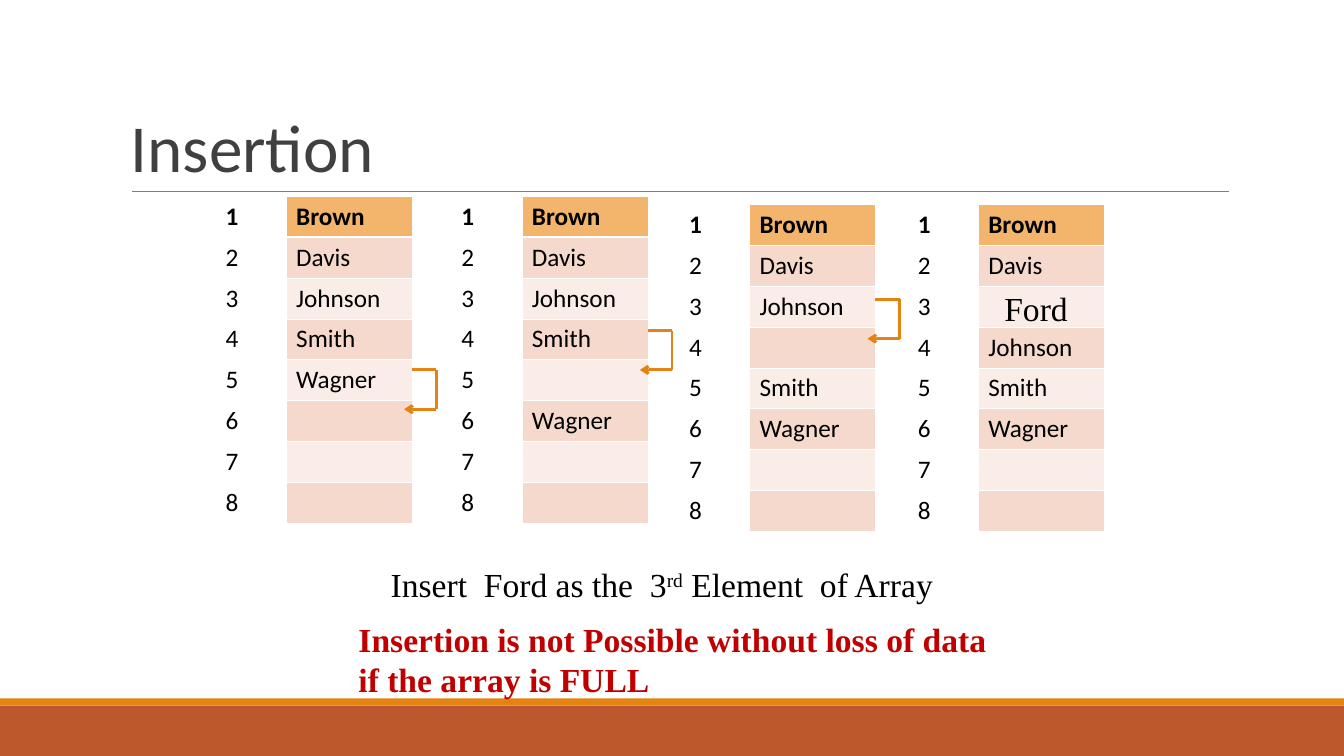
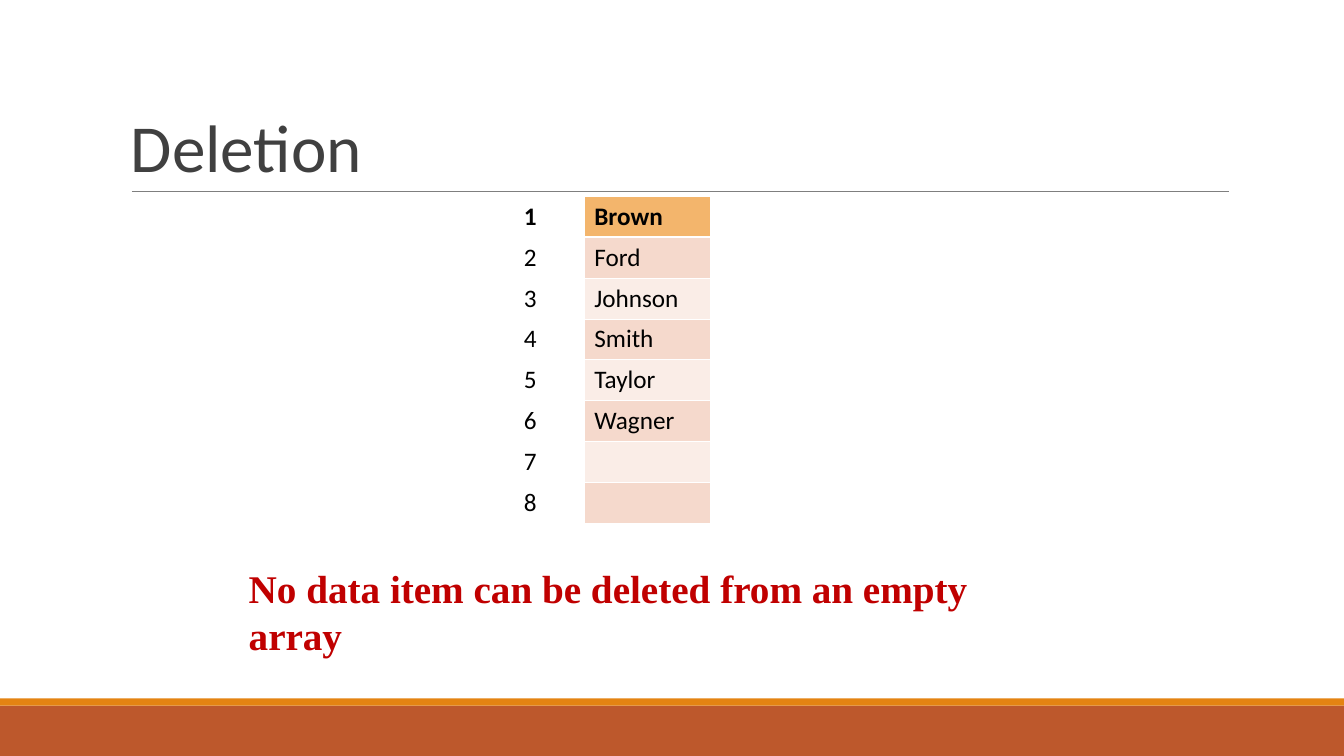
from dataclasses import dataclass
from itertools import pairwise
from lxml.etree import SubElement
from pptx import Presentation
from pptx.dml.color import RGBColor
from pptx.enum.shapes import MSO_CONNECTOR, MSO_SHAPE
from pptx.enum.text import MSO_ANCHOR
from pptx.oxml.ns import qn
from pptx.util import Inches, Pt


@dataclass(frozen=True)
class Theme:
    rust: str = "BD582C"
    amber: str = "E48312"
    rule: str = "7F7F7F"
    gray: str = "404040"
    black: str = "000000"
    white: str = "FFFFFF"
    red: str = "C00000"
    head: str = "F3B56C"
    bands: tuple = ("FAEDE7", "F5D9CC")
    sans: str = "Calibri"
    serif: str = "Times New Roman"
    title: int = 48
    alert: int = 28
    note: int = 24
    cell: int = 18


T = Theme()
WIDE, HIGH = 13.34, 7.5
SLOTS = 8
ROW = 0.405
COLS = (0.7, 1.25)
TABLE = sum(COLS)
TITLE = dict(name=T.sans, size=T.title, color=T.gray)
NOTE = dict(name=T.serif, size=T.note, color=T.black)
WARN = NOTE | dict(color=T.red, bold=True)
CELL = dict(name=T.sans, size=T.cell, color=T.black)


def style(font, form):
    """Apply a dict of format values to a font."""
    for key, value in form.items():
        if key == "color":
            font.color.rgb = RGBColor.from_string(value)
        else:
            setattr(font, key, Pt(value) if key == "size" else value)


def write(para, text, form):
    run = para.add_run()
    run.text = text
    style(run.font, form)
    return run


def label(slide, box, text, form, anchor=MSO_ANCHOR.TOP):
    """Add a wrapped text box and return its paragraph."""
    frame = slide.shapes.add_textbox(*map(Inches, box)).text_frame
    frame.word_wrap = True
    frame.vertical_anchor = anchor
    para = frame.paragraphs[0]
    write(para, text, form)
    return para


def line(shapes, start, end, color, width):
    link = shapes.add_connector(
        MSO_CONNECTOR.STRAIGHT, *map(Inches, (*start, *end)))
    link.line.color.rgb = RGBColor.from_string(color)
    link.line.width = Pt(width)
    SubElement(link._element.spPr, qn("a:effectLst"))
    return link


def band(slide, top, height, color):
    bar = slide.shapes.add_shape(
        MSO_SHAPE.RECTANGLE, *map(Inches, (0, top, WIDE, height)))
    bar.shadow.inherit = False
    bar.fill.solid()
    bar.fill.fore_color.rgb = RGBColor.from_string(color)
    bar.line.fill.background()


def page(deck, title):
    """Add a slide with the shared bands, rule and title."""
    slide = deck.slides.add_slide(deck.slide_layouts[6])
    band(slide, 7, 0.5, T.rust)
    band(slide, 6.93, 0.07, T.amber)
    line(slide.shapes, (1.31, 1.9), (12.2, 1.9), T.rule, 0.5)
    para = label(slide, (1.2, 0.31, 11, 1.59), title, TITLE, MSO_ANCHOR.BOTTOM)
    para.line_spacing = 0.85
    return slide


def edge(cell, row):
    """Draw white cell borders, thicker below the first row."""
    props = cell._tc.get_or_add_tcPr()
    for side in "LRTB":
        thick = (side, row) in (("B", 0), ("T", 1))
        border = SubElement(props, qn(f"a:ln{side}"),
                            w=str(Pt(1.47 if thick else 0.45)))
        fill = SubElement(border, qn("a:solidFill"))
        SubElement(fill, qn("a:srgbClr"), val=T.white)


def array(slide, left, top, names):
    """Draw numbered slots; names maps a slot number to its entry."""
    table = slide.shapes.add_table(
        SLOTS, len(COLS),
        *map(Inches, (left, top, TABLE, SLOTS * ROW))).table
    table.first_row = table.horz_banding = False
    for col, width in zip(table.columns, COLS):
        col.width = Inches(width)
    for i in range(SLOTS):
        table.rows[i].height = Inches(ROW)
        form = CELL | dict(bold=i == 0)
        index, entry = table.cell(i, 0), table.cell(i, 1)
        for cell, text in ((index, str(i + 1)), (entry, names.get(i + 1))):
            edge(cell, i)
            para = cell.text_frame.paragraphs[0]
            if text:
                write(para, text, form)
            else:
                style(para.font, form)
        index.fill.background()
        entry.fill.solid()
        color = T.bands[i % 2] if i else T.head
        entry.fill.fore_color.rgb = RGBColor.from_string(color)


def hook(slide, left, top):
    """Draw an arrow from one slot round to the next."""
    group = slide.shapes.add_group_shape()
    right, low = left + 0.24, top + 0.39
    points = (left, top), (right, top), (right, low), (left - 0.08, low)
    for start, end in pairwise(points):
        part = line(group.shapes, start, end, T.amber, 2)
    SubElement(part.line._get_or_add_ln(), qn("a:tailEnd"), type="arrow")


def insertion(deck):
    slide = page(deck, "Insertion")
    base = {1: "Brown", 2: "Davis"}
    steps = (
        (2.14, 1.95, {3: "Johnson", 4: "Smith", 5: "Wagner"}, 1.72),
        (4.48, 1.95, {3: "Johnson", 4: "Smith", 6: "Wagner"}, 1.33),
        (6.74, 2.03, {3: "Johnson", 5: "Smith", 6: "Wagner"}, 0.94),
        (9.01, 2.03, {4: "Johnson", 5: "Smith", 6: "Wagner"}, None),
    )
    for left, top, names, drop in steps:
        array(slide, left, top, base | names)
        if drop:
            hook(slide, left + TABLE, top + drop)
    label(slide, (left + 0.86, top + 0.78, 1.09, 0.5), "Ford", NOTE)
    para = label(slide, (3.78, 5.55, 5.63, 0.5),
                 "Insert  Ford as the  3", NOTE)
    mark = write(para, "rd", NOTE)
    mark.font._element.set("baseline", "30000")
    write(para, " Element  of Array", NOTE)
    label(slide, (3.46, 6.09, 6.56, 0.9),
          "Insertion is not Possible without loss of data "
          "if the array is FULL", WARN)


def deletion(deck):
    slide = page(deck, "Deletion")
    names = "Brown", "Ford", "Johnson", "Smith", "Taylor", "Wagner"
    array(slide, 5.1, 1.95, dict(enumerate(names, 1)))
    label(slide, (2.37, 5.55, 8.21, 1.04),
          "No data item can be deleted from an empty  array",
          WARN | dict(size=T.alert))


def main():
    deck = Presentation()
    deck.slide_width, deck.slide_height = Inches(WIDE), Inches(HIGH)
    insertion(deck)
    deletion(deck)
    deck.save("out.pptx")


if __name__ == "__main__":
    main()
